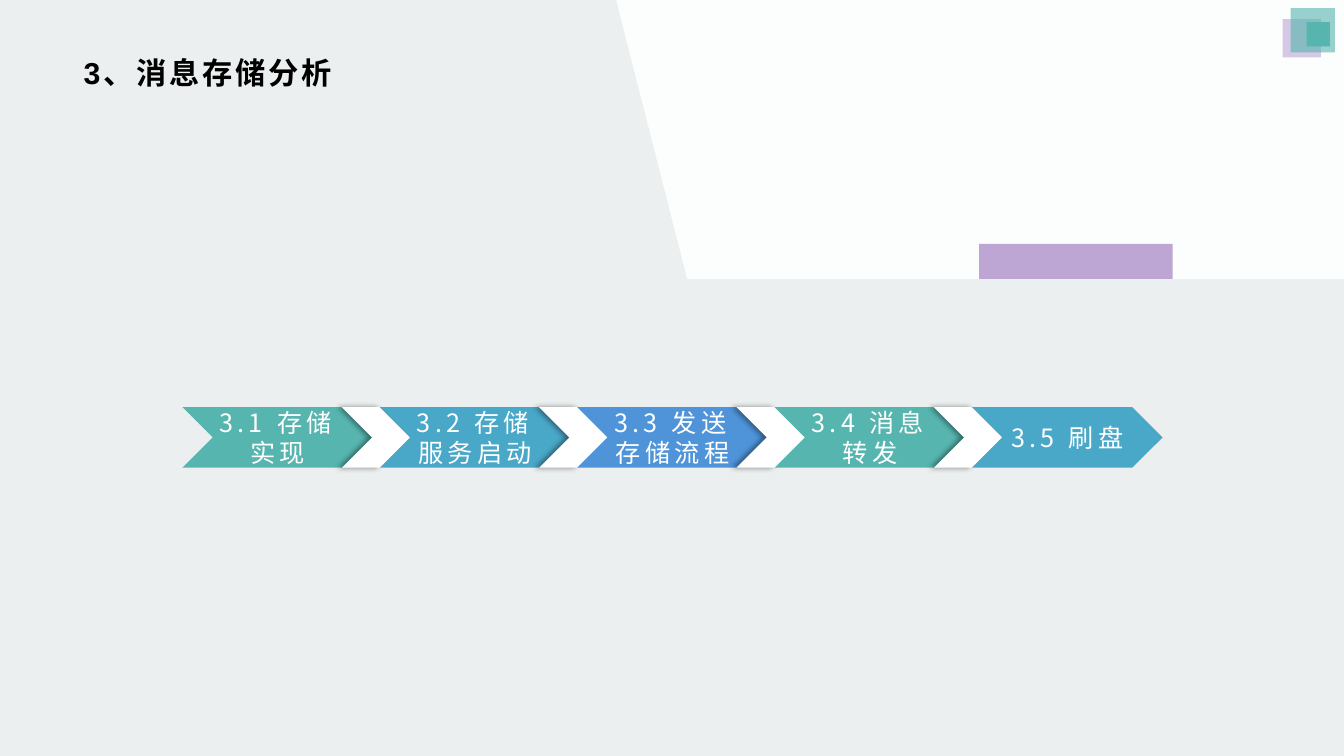
from lxml.etree import SubElement
from pptx import Presentation
from pptx.dml.color import RGBColor
from pptx.enum.shapes import MSO_SHAPE
from pptx.enum.text import MSO_ANCHOR, MSO_AUTO_SIZE, PP_ALIGN
from pptx.oxml.ns import qn
from pptx.util import Inches, Pt

COLORS = {
    "background": "FCFDFD", "panel": "ECEFEF", "purple": "BCA5D4",
    "teal": "57B5AF", "cyan": "49A7C8", "blue": "4F94D9",
    "white": "FFFFFF", "black": "000000",
}
LATIN_FONT, CJK_FONT = "Arial", "Noto Sans CJK SC"
STEPS = [
    ("3.1 存储实现", "teal"),
    ("3.2 存储服务启动", "cyan"),
    ("3.3 发送存储流程", "blue"),
    ("3.4 消息转发", "teal"),
    ("3.5 刷盘", "cyan"),
]


def paint(shape, color, alpha=100):
    """Give a shape a plain fill with no line or shadow."""
    shape.shadow.inherit = False
    shape.line.fill.background()
    shape.fill.solid()
    shape.fill.fore_color.rgb = RGBColor.from_string(COLORS[color])
    if alpha < 100:
        tint = shape.fill._xPr.find(qn("a:solidFill"))[0]
        SubElement(tint, qn("a:alpha"), val=str(alpha * 1000))


def add_block(shapes, preset, box, color, alpha=100):
    """Add a painted preset shape in a box given in inches."""
    block = shapes.add_shape(preset, *map(Inches, box))
    paint(block, color, alpha)
    return block


def format_text(frame, size, color, latin, tracking, bold=False):
    """Format the frame's text, centred vertically."""
    frame.word_wrap = True
    frame.auto_size = MSO_AUTO_SIZE.NONE
    frame.vertical_anchor = MSO_ANCHOR.MIDDLE
    for run in frame.paragraphs[0].runs:
        run.font.size = Pt(size)
        run.font.bold = bold
        run.font.name = latin
        run.font.color.rgb = RGBColor.from_string(COLORS[color])
        properties = run._r.get_or_add_rPr()
        properties.set("spc", str(tracking * 100))
        SubElement(properties, qn("a:ea"), typeface=CJK_FONT)


def add_backdrop(slide, width, height):
    """Draw the slanted panel, the purple square and the lower band."""
    slide.background.fill.solid()
    slide.background.fill.fore_color.rgb = RGBColor.from_string(COLORS["background"])
    outline = slide.shapes.build_freeform(0, 0, scale=Inches(0.01))
    outline.add_line_segments([(611, 0), (802, height * 100), (0, height * 100)], close=True)
    paint(outline.convert_to_shape(), "panel")
    add_block(slide.shapes, MSO_SHAPE.RECTANGLE, (9.71, 2.42, 1.92, 1.92), "purple", 98)
    band_top = 2.77
    add_block(slide.shapes, MSO_SHAPE.RECTANGLE, (0, band_top, width, height - band_top), "panel")


def add_title(slide, box):
    """Place the title above the backdrop."""
    title = slide.shapes.title
    title.left, title.top, title.width, title.height = map(Inches, box)
    slide.shapes._spTree.append(title._element)
    title.text_frame.text = "3、消息存储分析"
    title.text_frame.paragraphs[0].alignment = PP_ALIGN.LEFT
    format_text(title.text_frame, 21.6, "black", LATIN_FONT, 2, bold=True)


def add_corner_squares(slide, left, top):
    """Group the three overlapping squares of the corner ornament."""
    ornament = slide.shapes.add_group_shape()
    for dx, dy, width, height, color, alpha in [
        (0, 0.11, 0.38, 0.38, "purple", 60),
        (0.08, 0, 0.44, 0.44, "teal", 61),
        (0.24, 0.14, 0.23, 0.24, "teal", 100),
    ]:
        box = (left + dx, top + dy, width, height)
        add_block(ornament.shapes, MSO_SHAPE.RECTANGLE, box, color, alpha)


def add_separator(slide, box):
    """Add a white chevron that casts a shadow to the left."""
    separator = add_block(slide.shapes, MSO_SHAPE.CHEVRON, box, "white")
    effects = separator._element.spPr.find(qn("a:effectLst"))
    shadow = SubElement(effects, qn("a:outerShdw"), blurRad=str(Pt(4)), dist=str(Pt(3)),
                        dir=str(180 * 60000), algn="r", rotWithShape="0")
    tint = SubElement(shadow, qn("a:srgbClr"), val=COLORS["black"])
    SubElement(tint, qn("a:alpha"), val="40000")


def add_process(slide, left, top, width, height):
    """Lay out the step chevrons evenly, with a separator between neighbours."""
    step_width, separator_width, separator_offset = 1.89, 0.68, 1.58
    pitch = (width - step_width) / (len(STEPS) - 1)
    for index, (label, color) in enumerate(STEPS):
        step_left = left + index * pitch
        step = add_block(slide.shapes, MSO_SHAPE.CHEVRON,
                         (step_left, top, step_width, height), color)
        frame = step.text_frame
        frame.margin_left = frame.margin_right = frame.margin_top = frame.margin_bottom = 0
        frame.text = label
        frame.paragraphs[0].alignment = PP_ALIGN.CENTER
        format_text(frame, 18, "white", CJK_FONT, 3)
        if index < len(STEPS) - 1:
            add_separator(slide, (step_left + separator_offset, top, separator_width, height))


def main():
    """Build and save the slide."""
    width, height = 13.33, 7.5
    presentation = Presentation()
    presentation.slide_width, presentation.slide_height = Inches(width), Inches(height)
    slide = presentation.slides.add_slide(presentation.slide_layouts[5])
    add_backdrop(slide, width, height)
    add_title(slide, (0.73, 0.48, 11.87, 0.48))
    add_corner_squares(slide, 12.72, 0.08)
    add_process(slide, 1.81, 4.04, 9.72, 0.6)
    presentation.save("out.pptx")


if __name__ == "__main__":
    main()
